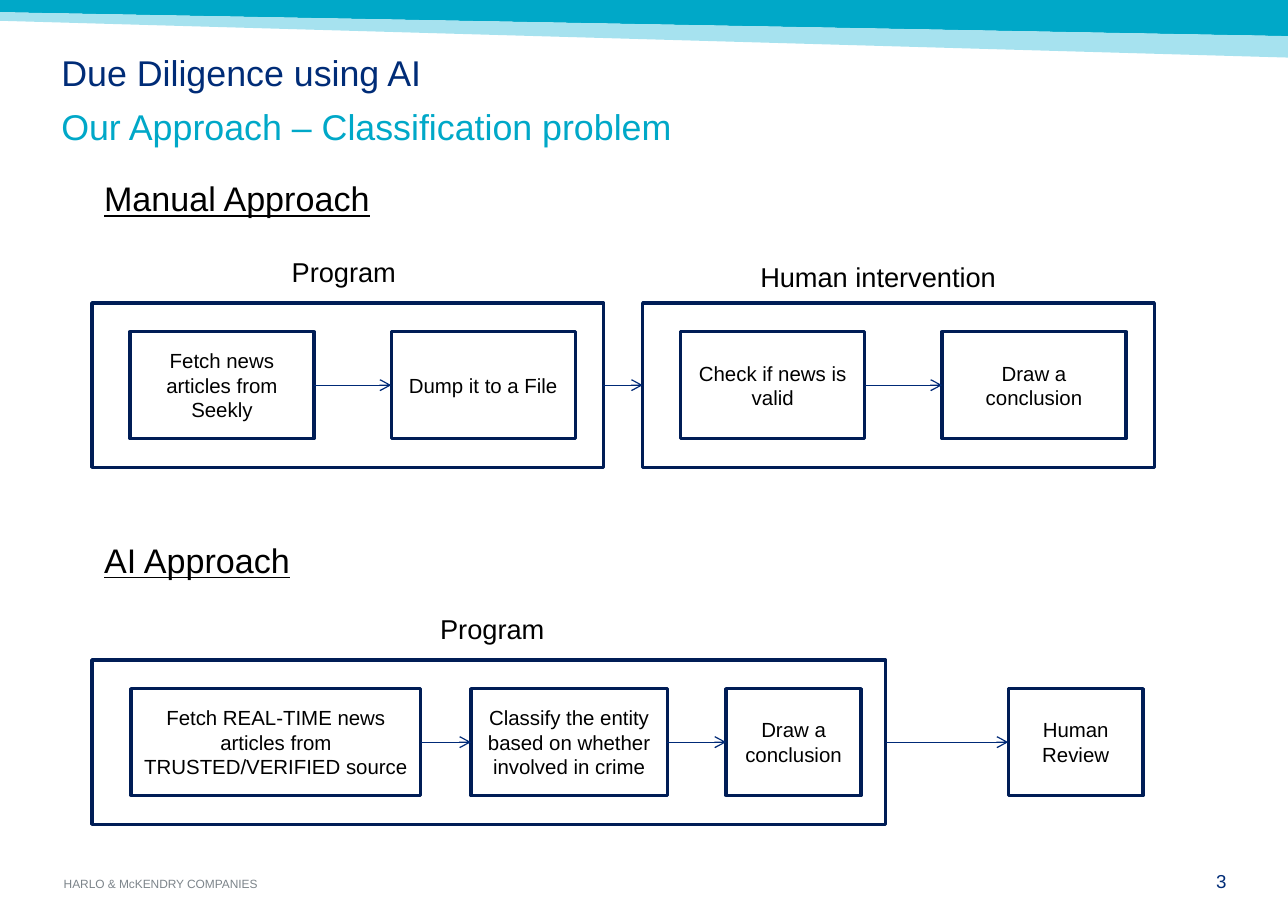
import pptx
import pptx.util
import pptx.dml.color
import pptx.enum.shapes
import pptx.enum.text
import pptx.oxml
import pptx.oxml.ns

ALIGN = pptx.enum.text.PP_ALIGN
ANCHOR = pptx.enum.text.MSO_ANCHOR
NAVY, TEAL, PALE, GREY = "002C77", "00A8C8", "A6E2EF", "7C848A"
BOX_LINE, ARROW_LINE, BLACK, WHITE = "001D56", "002A77", "000000", "FFFFFF"


def rgb(hex_code):
    return pptx.dml.color.RGBColor.from_string(hex_code)


class Deck:
    """Places elements on a grid of 42 columns by 30 rows."""

    COLS, ROWS = 42, 30
    FONT = "Arial"
    FRAME_H, STEP_H = 5.36, 3.48
    PADDING = {"margin_left": 0.1, "margin_right": 0.1,
               "margin_top": 0.05, "margin_bottom": 0.05}

    def __init__(self, width, height):
        self.prs = pptx.Presentation()
        self.prs.slide_width = pptx.util.Inches(width)
        self.prs.slide_height = pptx.util.Inches(height)
        self.s = self.prs.slides.add_slide(self.prs.slide_layouts[6])

    def x(self, cols):
        return round(self.prs.slide_width * cols / self.COLS)

    def y(self, rows):
        return round(self.prs.slide_height * rows / self.ROWS)

    def area(self, col, row, cols, rows):
        return self.x(col), self.y(row), self.x(cols), self.y(rows)

    def set_text(self, tf, lines, align=ALIGN.LEFT, anchor=ANCHOR.TOP,
                 padding=None, spacing=None, gap=0, **font):
        """Each line is a (text, colour) pair and becomes a paragraph."""
        tf.word_wrap = True
        tf.vertical_anchor = anchor
        for name, inches in (padding or self.PADDING).items():
            setattr(tf, name, pptx.util.Inches(inches))
        for i, (text, color) in enumerate(lines):
            p = tf.add_paragraph() if i else tf.paragraphs[0]
            p.alignment = align
            p.line_spacing = spacing
            p.space_before = pptx.util.Pt(gap if i else 0)
            r = p.add_run()
            r.text = text
            for name, value in {"name": self.FONT, **font}.items():
                setattr(r.font, name, value)
            r.font.color.rgb = rgb(color)

    def text(self, area, lines, size, **style):
        sp = self.s.shapes.add_textbox(*self.area(*area))
        self.set_text(sp.text_frame, lines, size=pptx.util.Pt(size), **style)

    def band(self, color, points):
        (x0, y0), *rest = [(self.x(c), self.y(r)) for c, r in points]
        builder = self.s.shapes.build_freeform(x0, y0)
        builder.add_line_segments(rest, close=True)
        sp = builder.convert_to_shape()
        sp.shadow.inherit = False
        sp.fill.solid()
        sp.fill.fore_color.rgb = rgb(color)
        sp.line.fill.background()

    def box(self, *area):
        sp = self.s.shapes.add_shape(
            pptx.enum.shapes.MSO_SHAPE.RECTANGLE, *self.area(*area))
        sp.shadow.inherit = False
        sp.fill.solid()
        sp.fill.fore_color.rgb = rgb(WHITE)
        sp.line.color.rgb = rgb(BOX_LINE)
        sp.line.width = pptx.util.Pt(2)
        return sp

    def frame(self, row, col, cols):
        return self.box(col, row, cols, self.FRAME_H)

    def step(self, row, col, cols, label):
        """A step is centred vertically on the frame that starts at row."""
        top = row + (self.FRAME_H - self.STEP_H) / 2
        sp = self.box(col, top, cols, self.STEP_H)
        self.set_text(sp.text_frame, [(label, BLACK)], ALIGN.CENTER,
                      ANCHOR.MIDDLE, size=pptx.util.Pt(12))
        return sp

    def arrow(self, start, end):
        """Joins the right side of start to the left side of end."""
        c = self.s.shapes.add_connector(
            pptx.enum.shapes.MSO_CONNECTOR.STRAIGHT, 0, 0, 0, 0)
        c.begin_connect(start, 3)
        c.end_connect(end, 1)
        c.line.color.rgb = rgb(ARROW_LINE)
        c.line.width = pptx.util.Pt(0.75)
        ns = pptx.oxml.ns.nsdecls("a")
        props = c.element.spPr
        props.find(pptx.oxml.ns.qn("a:ln")).append(
            pptx.oxml.parse_xml(f'<a:tailEnd {ns} type="arrow"/>'))
        props.append(pptx.oxml.parse_xml(f"<a:effectLst {ns}/>"))


def main():
    deck = Deck(10.5, 7.5)
    flush = dict.fromkeys(Deck.PADDING, 0)

    # Header bands
    deck.band(TEAL, [(0, 0), (42, 0), (42, 1.18), (0, 0.4)])
    deck.band(PALE, [(0, 0.4), (42, 1.18), (42, 1.88), (0, 0.68)])

    # Title, footer and page number
    deck.text((2, 1.68, 38, 3.04),
              [("Due Diligence using AI", NAVY),
               ("Our Approach – Classification problem", TEAL)], 21,
              padding={**Deck.PADDING, "margin_left": 0},
              spacing=0.83, gap=11)
    deck.text((2.08, 28.6, 12.64, 0.44),
              [("HARLO & McKENDRY COMPANIES", GREY)], 7,
              anchor=ANCHOR.BOTTOM, padding=flush)
    deck.text((38.04, 28.36, 1.96, 0.72), [("3", NAVY)], 11,
              align=ALIGN.RIGHT, padding=flush)

    # Section headings and frame labels
    for row, heading in ((5.6, "Manual Approach"), (17.4, "AI Approach")):
        deck.text((3, row, 15, 1.76), [(heading, BLACK)], 20, underline=True)
    for col, row, label in ((9.12, 8.12, "Program"),
                            (24.4, 8.28, "Human intervention"),
                            (13.96, 19.76, "Program")):
        deck.text((col, row, 11.76, 1.48), [(label, BLACK)], 16)

    # Manual approach: two frames of two steps
    row = 9.88
    program, human = [deck.frame(row, col, 16.68) for col in (3, 20.96)]
    fetch, dump, check, conclude = [
        deck.step(row, col, 6, label) for col, label in (
            (4.24, "Fetch news articles from Seekly"),
            (12.76, "Dump it to a File"),
            (22.2, "Check if news is valid"),
            (30.72, "Draw a conclusion"))]
    for pair in ((fetch, dump), (program, human), (check, conclude)):
        deck.arrow(*pair)

    # AI approach: one frame of three steps, then a review
    row = 21.52
    program = deck.frame(row, 3, 25.88)
    fetch, classify, conclude, review = [
        deck.step(row, *step) for step in (
            (4.28, 9.44, "Fetch REAL-TIME news articles from "
                         "TRUSTED/VERIFIED source"),
            (15.36, 6.4, "Classify the entity based on whether "
                         "involved in crime"),
            (23.68, 4.4, "Draw a conclusion"),
            (32.88, 4.4, "Human Review"))]
    for pair in ((fetch, classify), (classify, conclude), (program, review)):
        deck.arrow(*pair)

    deck.prs.save("out.pptx")


if __name__ == "__main__":
    main()
